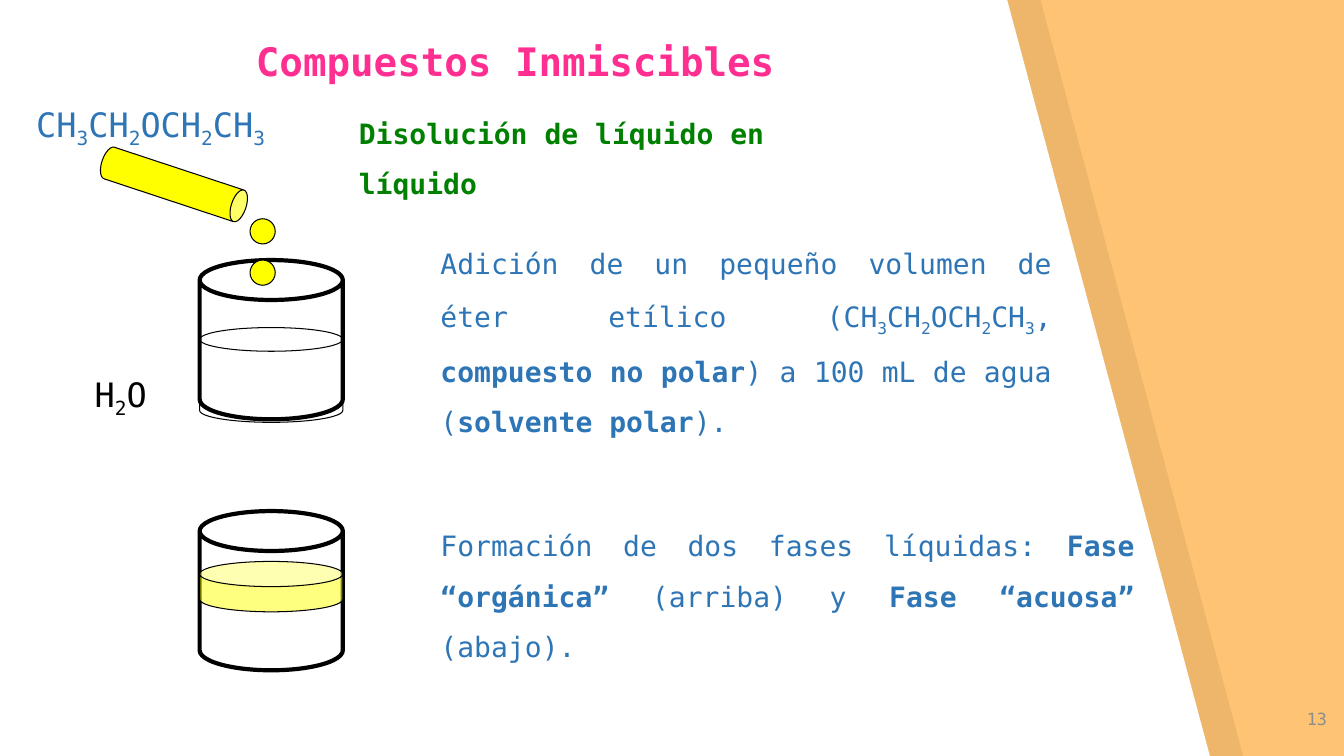
"""Build the slide on immiscible compounds: ether poured on water, and the two phases that form."""
from lxml import etree
from pptx import Presentation
from pptx import util as u
from pptx.dml.color import RGBColor
from pptx.enum import shapes, text
from pptx.oxml import ns

THEME = {
    "font": "DejaVu Sans Mono",
    "colour": {"back": "FFC473", "black": "000000", "white": "FFFFFF", "yellow": "FFFF00",
               "blue": "2E75B6", "pink": "FF2F92", "green": "008000", "grey": "8C8C8C"},
    "size": {"title": 28, "formula": 24, "body": 20, "number": 12},
    "line": {"thick": 3, "thin": 0.75},
}
SLIDE = (13.33, 7.5)
PANELS = [(0.33, "black", 7), (0, "white", 100)]
PANEL_TOP, PANEL_BOTTOM = 9.99, 12

ETHER = [("CH", ""), ("3", "sub"), ("CH", ""), ("2", "sub"),
         ("OCH", ""), ("2", "sub"), ("CH", ""), ("3", "sub")]
WATER = [("H", ""), ("2", "sub"), ("O", "")]
ADDITION = [("Adición de un pequeño volumen de éter etílico (", ""), *ETHER, (", ", ""),
            ("compuesto no polar", "bold"), (") a 100 mL de agua (", ""),
            ("solvente polar", "bold"), (").", "")]
PHASES = [("Formación de dos fases líquidas: ", ""), ("Fase “orgánica” ", "bold"),
          ("(arriba) y ", ""), ("Fase “acuosa” ", "bold"), ("(abajo).", "")]

BEAKER_LEFT, BEAKER_WIDTH = 1.98, 1.42
BEAKER_PARTS = [
    (5.07, 1.58, 0.279, "thick", None, 100),
    (5.57, 0.5, 0.5, "thin", "yellow", 50),
    (2.58, 1.58, 0.279, "thick", None, 100),
    (3.25, 0.94, 0.25, "thin", None, 100),
]
TUBE = (1.56, 1.08, 0.33, 1.5)
DROP_LEFT, DROP_SIZE, DROP_TOPS = 2.48, 0.25, (2.17, 2.58)

LABELS = [
    {"at": (12.46, 6.93, 0.8, 0.57), "runs": [("13", "")], "size": "number", "colour": "grey",
     "align": "RIGHT", "inset": 0.1},
    {"at": (4.27, 2.23, 6.26, 1.57), "runs": ADDITION, "size": "body", "colour": "blue",
     "align": "JUSTIFY", "spacing": 1.5},
    {"at": (4.27, 5.03, 7.08, 1.07), "runs": PHASES, "size": "body", "colour": "blue",
     "align": "JUSTIFY", "spacing": 1.5},
    {"at": (1.34, 0.09, 7.54, 0.75), "runs": [("Compuestos Inmiscibles", "bold")],
     "size": "title", "colour": "pink", "align": "CENTER", "spacing": 1.5},
    {"at": (3.46, 1.24, 5.41, 0.5), "runs": [("Disolución de líquido en líquido", "bold")],
     "size": "body", "colour": "green", "spacing": 1.5, "anchor": "MIDDLE"},
    {"at": (0.26, 0.98, 2.95, 0.5), "runs": ETHER, "size": "formula", "colour": "blue",
     "wrap": False},
    {"at": (0.84, 3.66, 1.53, 0.5), "runs": WATER, "size": "formula", "colour": "black"},
]


def colour(name):
    return RGBColor.from_string(THEME["colour"][name])


def inches(values):
    return [u.Inches(value) for value in values]


def paint(shape, fill, line=None, opacity=100):
    shape.shadow.inherit = False
    if fill:
        shape.fill.solid()
        shape.fill.fore_color.rgb = colour(fill)
        if opacity < 100:
            tint = shape.fill._xPr.find(".//" + ns.qn("a:srgbClr"))
            etree.SubElement(tint, ns.qn("a:alpha")).set("val", str(opacity * 1000))
    else:
        shape.fill.background()
    if line:
        shape.line.color.rgb = colour("black")
        shape.line.width = u.Pt(THEME["line"][line])
    else:
        shape.line.fill.background()


def add_panel(page, left, fill, opacity):
    width, height = SLIDE[0], SLIDE[1]
    corners = [(left, height), (left + PANEL_BOTTOM, height), (left + PANEL_TOP, 0)]
    outline = page.shapes.build_freeform(u.Inches(left), 0)
    outline.add_line_segments([inches(corner) for corner in corners], close=True)
    paint(outline.convert_to_shape(), fill, opacity=opacity)


def add_can(page, at, depth, line, fill, opacity=100):
    can = page.shapes.add_shape(shapes.MSO_SHAPE.CAN, *inches(at))
    can.adjustments[0] = depth
    paint(can, fill, line, opacity)
    return can


def add_label(page, label):
    box = page.shapes.add_textbox(*inches(label["at"]))
    frame = box.text_frame
    frame.word_wrap = label.get("wrap", True)
    frame.vertical_anchor = text.MSO_ANCHOR[label.get("anchor", "TOP")]
    frame.margin_left = frame.margin_right = u.Inches(0.1)
    frame.margin_top = frame.margin_bottom = u.Inches(label.get("inset", 0.05))
    para = frame.paragraphs[0]
    para.alignment = text.PP_ALIGN[label.get("align", "LEFT")]
    para.line_spacing = label.get("spacing", 1.0)
    for words, style in label["runs"]:
        span = para.add_run()
        span.text = words
        span.font.name = THEME["font"]
        span.font.size = u.Pt(THEME["size"][label["size"]])
        span.font.color.rgb = colour(label["colour"])
        span.font.bold = style == "bold"
        if style == "sub":
            span.font._element.set("baseline", "-25000")


def main():
    deck = Presentation()
    deck.slide_width, deck.slide_height = inches(SLIDE)
    page = deck.slides.add_slide(deck.slide_layouts[6])
    page.background.fill.solid()
    page.background.fill.fore_color.rgb = colour("back")
    for panel in PANELS:
        add_panel(page, *panel)
    for top, height, *look in BEAKER_PARTS:
        add_can(page, (BEAKER_LEFT, top, BEAKER_WIDTH, height), *look)
    add_can(page, TUBE, 0.446, "thin", "yellow").rotation = 108.3
    for top in DROP_TOPS:
        place = inches((DROP_LEFT, top, DROP_SIZE, DROP_SIZE))
        paint(page.shapes.add_shape(shapes.MSO_SHAPE.OVAL, *place), "yellow", "thin")
    for label in LABELS:
        add_label(page, label)
    deck.save("out.pptx")


if __name__ == "__main__":
    main()
